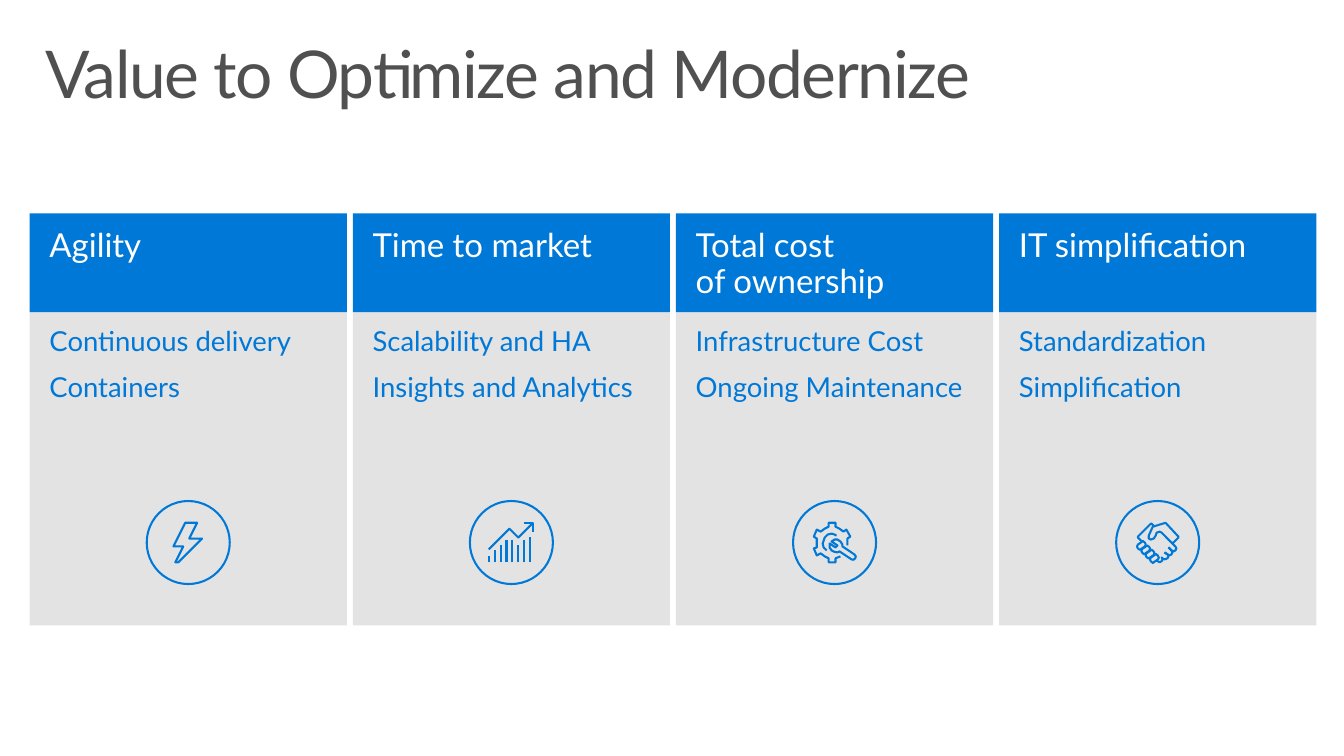
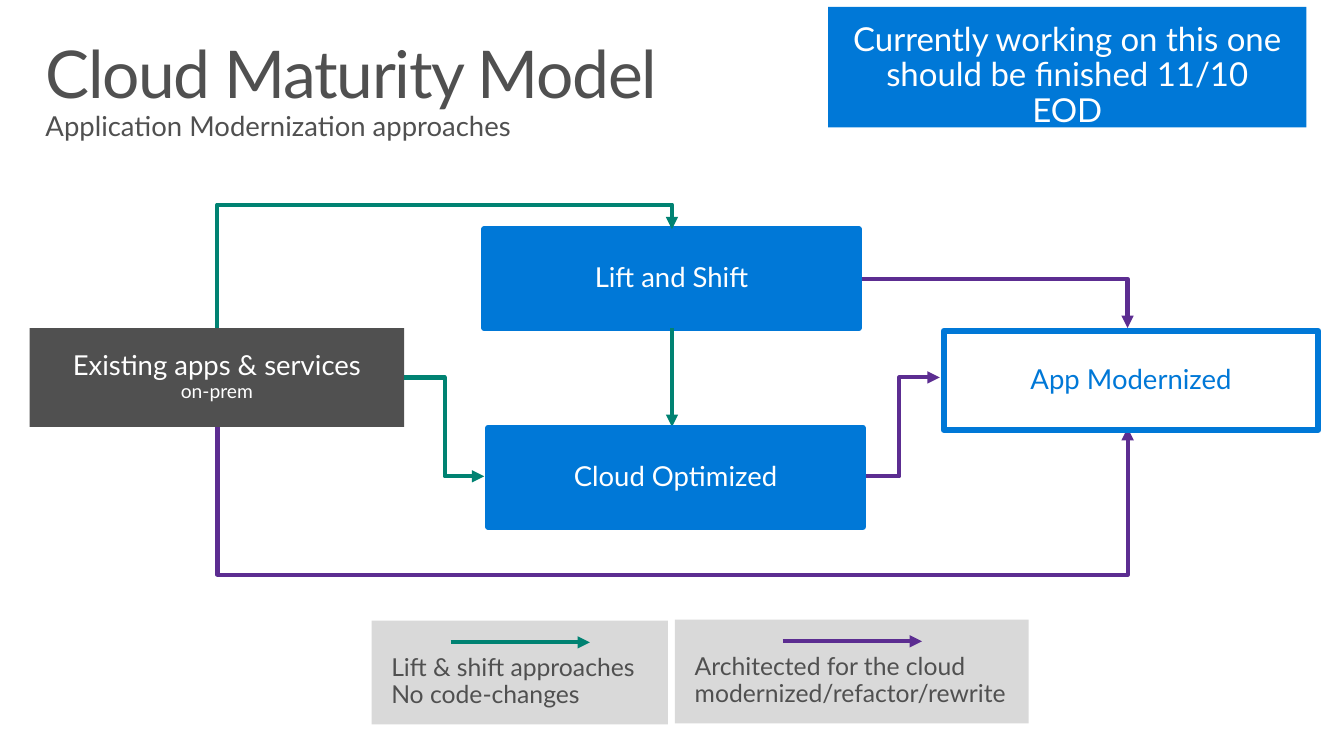
from lxml import etree
from pptx import Presentation
from pptx.dml.color import RGBColor
from pptx.enum.shapes import MSO_CONNECTOR as Line, MSO_SHAPE as Shape
from pptx.enum.text import MSO_ANCHOR as Anchor, MSO_AUTO_SIZE as AutoSize, PP_ALIGN as Align
from pptx.oxml.ns import qn
from pptx.util import Inches, Pt

FONT = "Lato"
BLUE, GRAY, WHITE = "0078D7", "505050", "FFFFFF"
GREEN, PURPLE = "008272", "5C2D91"
CARD_FILL, LEGEND_FILL = "E3E3E3", "D9D9D9"
BOX_W, BOX_H = 3.79, 1
BADGE = 0.84

# Icon strokes, in hundredths of an inch from the centre of the badge.
BOLT = [[(-10, 20), (14, -4), (1, -4), (9, -20), (-3, -20), (-15, 4), (-5, 4),
         (-13, 20), (-10, 20)]]
BAR_TOPS = [14, 8, 3, -3, -3, 3, -3, -6]
GROWTH = [[(-23 + 6 * i, 20), (-23 + 6 * i, top)] for i, top in enumerate(BAR_TOPS)] + [
    [(22, -20), (7, -5), (-2, -14), (-23, 7)],
    [(22, -11), (22, -20), (13, -20)],
]
GEAR = [
    [(6, 14), (1, 16), (1, 20), (-6, 20), (-6, 16), (-10, 14), (-14, 11), (-18, 13),
     (-21, 6), (-18, 5), (-18, -4), (-21, -6), (-18, -13), (-14, -11), (-10, -14),
     (-6, -16), (-6, -20), (1, -20), (1, -16), (5, -14), (9, -11), (12, -13),
     (16, -6), (13, -4), (13, 3)],
    [(2, -7), (0, -8), (-3, -9), (-7, -8), (-10, -5), (-12, 1), (-11, 5), (-8, 8)],
    [(5, 9), (17, 17), (19, 17.5), (21, 16), (21.5, 14), (20, 12), (8, 4), (8, 2),
     (6, -1), (3, -3), (0, -3), (-3, -1), (3, 3), (1, 5), (-5, 1), (-5, 5), (-3, 8),
     (0, 9.5), (3, 10), (5, 9)],
]
FINGER = [(-20, 2), (-21, 4), (-20, 6), (-18, 7.5), (-16, 6), (-13, 4), (-12, 2),
          (-13, 0), (-15, -1.5), (-17, 0), (-20, 2)]
HANDSHAKE = [[(x + 4.4 * i, y + 4.4 * i) for x, y in FINGER] for i in range(4)] + [
    [(-16, -1), (-20, -5), (-20, -6), (-7, -19), (-6, -19), (-3, -16)],
    [(7, 10), (10, 12), (12, 13), (14, 12), (15, 10), (14, 8), (11, 5)],
    [(-2, 18), (0, 19), (2, 20), (4, 19), (5, 17), (4, 15), (5, 16), (7, 17),
     (10, 16), (11, 14), (10, 12), (7, 10)],
    [(15, 1), (21, -5), (21, -6), (8, -20), (-5, -16), (-9, -7), (-9, -4), (-7, -3),
     (-4, -4), (-2, -7), (-1, -10), (2, -11), (4, -10), (18, 4), (19, 6), (18, 8),
     (16, 9), (14, 8), (11, 5)],
]

CARDS = [
    ("Agility", ["Continuous delivery", "Containers"], BOLT),
    ("Time to market", ["Scalability and HA", "Insights and Analytics"], GROWTH),
    ("Total cost\nof ownership", ["Infrastructure Cost", "Ongoing Maintenance"], GEAR),
    ("IT simplification", ["Standardization", "Simplification"], HANDSHAKE),
]


def rgb(value):
    return RGBColor.from_string(value)


def add_run(paragraph, text, size, color, spacing=0):
    """Add text to a paragraph, turning each newline into a line break."""
    for i, part in enumerate(text.split("\n")):
        if i:
            paragraph.add_line_break()
        run = paragraph.add_run()
        run.text = part
        font = run.font
        font.name, font.size, font.color.rgb = FONT, Pt(size), rgb(color)
        if spacing:
            run._r.get_or_add_rPr().set("spc", str(spacing))


def set_frame(frame, anchor, inset_x, inset_y):
    frame.word_wrap = True
    frame.auto_size = AutoSize.NONE
    frame.vertical_anchor = anchor
    frame.margin_left = frame.margin_right = Inches(inset_x)
    frame.margin_top = frame.margin_bottom = Inches(inset_y)


def add_title_slide(prs, title, subtitle=None):
    slide = prs.slides.add_slide(prs.slide_layouts[5])
    holder = slide.shapes.title
    holder.left, holder.top = Inches(0.3), Inches(0.32)
    holder.width, holder.height = Inches(13), Inches(1.34 if subtitle else 1)
    set_frame(holder.text_frame, Anchor.TOP, 0.16, 0.1)
    paragraph = holder.text_frame.paragraphs[0]
    paragraph.alignment, paragraph.line_spacing = Align.LEFT, 0.9
    add_run(paragraph, title, 48, GRAY, spacing=-100)
    if subtitle:
        paragraph.add_line_break()
        add_run(paragraph, subtitle, 20, GRAY)
    return slide


def style_outline(shape, color, width):
    shape.line.color.rgb = rgb(color)
    shape.line.width = Pt(width)


def add_box(slide, x, y, w, h, lines, fill, color=WHITE, size=20, outline=None,
            align=Align.CENTER, anchor=Anchor.MIDDLE, gap=0):
    """Add a filled rectangle; a line is a string or a (string, size) pair."""
    box = slide.shapes.add_shape(Shape.RECTANGLE, Inches(x), Inches(y), Inches(w), Inches(h))
    box.shadow.inherit = False
    box.fill.solid()
    box.fill.fore_color.rgb = rgb(fill)
    if outline:
        style_outline(box, outline, 4.5)
    else:
        box.line.fill.background()
    frame = box.text_frame
    set_frame(frame, anchor, 0.2, 0.16)
    for i, line in enumerate(lines):
        text, points = line if isinstance(line, tuple) else (line, size)
        paragraph = frame.add_paragraph() if i else frame.paragraphs[0]
        paragraph.alignment, paragraph.line_spacing = align, 0.9
        if i and gap:
            paragraph.space_before = Pt(gap)
        add_run(paragraph, text, points, color)


def add_badge(slide, center_x, center_y, strokes):
    """Draw a circle with a line icon in it."""
    circle = slide.shapes.add_shape(
        Shape.OVAL, Inches(center_x - BADGE / 2), Inches(center_y - BADGE / 2),
        Inches(BADGE), Inches(BADGE))
    scaled = [[(x * 10, y * 10) for x, y in stroke] for stroke in strokes]
    builder = slide.shapes.build_freeform(*scaled[0][0], scale=Inches(0.001))
    for i, stroke in enumerate(scaled):
        if i:
            builder.move_to(*stroke[0])
        builder.add_line_segments(stroke[1:], close=False)
    icon = builder.convert_to_shape(Inches(center_x), Inches(center_y))
    for shape in (circle, icon):
        shape.shadow.inherit = False
        shape.fill.background()
        style_outline(shape, BLUE, 1.5)


def add_arrow(slide, start, end, color, kind=Line.STRAIGHT):
    points = [Inches(value) for value in (*start, *end)]
    arrow = slide.shapes.add_connector(kind, *points)
    style_outline(arrow, color, 3)
    properties = arrow._element.spPr
    etree.SubElement(properties.find(qn("a:ln")), qn("a:tailEnd"), type="triangle")
    etree.SubElement(properties, qn("a:effectLst"))
    return arrow


def add_corner_arrow(slide, start, end, color):
    """Add an arrow that runs across, then turns once."""
    arrow = add_arrow(slide, start, end, color, Line.ELBOW)
    arrow._element.spPr.find(qn("a:prstGeom")).set("prst", "bentConnector2")


def add_elbow_arrow(slide, start, end, color, bend, vertical=False):
    """Add an arrow with two turns, its middle leg lying at the coordinate bend."""
    axis = 1 if vertical else 0
    share = (bend - start[axis]) / (end[axis] - start[axis])
    if vertical:
        # The frame is laid out unturned about its centre, then turned by 270 degrees.
        mid_x, mid_y = (start[0] + end[0]) / 2, (start[1] + end[1]) / 2
        half_w, half_h = (start[1] - end[1]) / 2, (end[0] - start[0]) / 2
        start, end = (mid_x - half_w, mid_y - half_h), (mid_x + half_w, mid_y + half_h)
    arrow = add_arrow(slide, start, end, color, Line.ELBOW)
    properties = arrow._element.spPr
    if vertical:
        properties.find(qn("a:xfrm")).set("rot", str(270 * 60000))
    guides = properties.find(qn("a:prstGeom")).find(qn("a:avLst"))
    etree.SubElement(guides, qn("a:gd"), name="adj1", fmla=f"val {round(share * 100000)}")


def build_value_slide(prs):
    slide = add_title_slide(prs, "Value to Optimize and Modernize")
    width, pitch = 3.21, 3.27
    for i, (heading, points, icon) in enumerate(CARDS):
        x = 0.3 + i * pitch
        card_text = dict(align=Align.LEFT, anchor=Anchor.TOP)
        add_box(slide, x, 3.16, width, 3.17, points, CARD_FILL, BLUE, gap=12, **card_text)
        add_box(slide, x, 2.16, width, 1, [heading], BLUE, size=24, **card_text)
        add_badge(slide, x + width / 2, 5.49, icon)


def build_maturity_slide(prs):
    slide = add_title_slide(prs, "Cloud Maturity Model", "Application Modernization approaches")
    add_corner_arrow(slide, (8.7, 2.82), (11.41, 3.32), PURPLE)
    add_box(slide, 4.9, 2.32, BOX_W, BOX_H, ["Lift and Shift"], BLUE, outline=BLUE)
    add_box(slide, 0.3, 3.32, BOX_W, BOX_H,
            ["Existing apps & services", ("on-prem", 14)], GRAY)
    add_elbow_arrow(slide, (2.2, 4.32), (11.41, 4.33), PURPLE, 5.84, vertical=True)
    add_elbow_arrow(slide, (2.2, 3.32), (6.8, 2.32), GREEN, 2.07, vertical=True)
    add_elbow_arrow(slide, (4.09, 3.82), (4.9, 4.82), GREEN, 4.5)
    add_elbow_arrow(slide, (8.7, 4.82), (9.51, 3.82), PURPLE, 9.1)
    add_arrow(slide, (6.8, 3.32), (6.8, 4.32), GREEN)

    legend = [
        (3.76, 6.28, 3, 4.56, GREEN, ["Lift & shift approaches", "No code-changes"]),
        (6.83, 6.27, 3.58, 7.92, PURPLE,
         ["Architected for the cloud", "modernized/refactor/rewrite"]),
    ]
    for x, y, width, arrow_x, color, lines in legend:
        add_box(slide, x, y, width, 1.05, lines, LEGEND_FILL, GRAY, 18,
                align=Align.LEFT, anchor=Anchor.BOTTOM)
        add_arrow(slide, (arrow_x, y + 0.22), (arrow_x + 1.41, y + 0.22), color)

    add_box(slide, 8.38, 0.07, 4.84, 1.22,
            ["Currently working on this one should be finished 11/10 EOD"],
            BLUE, size=24, anchor=Anchor.TOP)
    add_box(slide, 4.94, 4.33, BOX_W, BOX_H, ["Cloud Optimized"], BLUE, outline=BLUE)
    add_box(slide, 9.55, 3.35, BOX_W, BOX_H, ["App Modernized"], WHITE, BLUE, outline=BLUE)


def main():
    prs = Presentation()
    prs.slide_width, prs.slide_height = Inches(13.6), Inches(7.65)
    build_value_slide(prs)
    build_maturity_slide(prs)
    prs.save("out.pptx")


if __name__ == "__main__":
    main()
